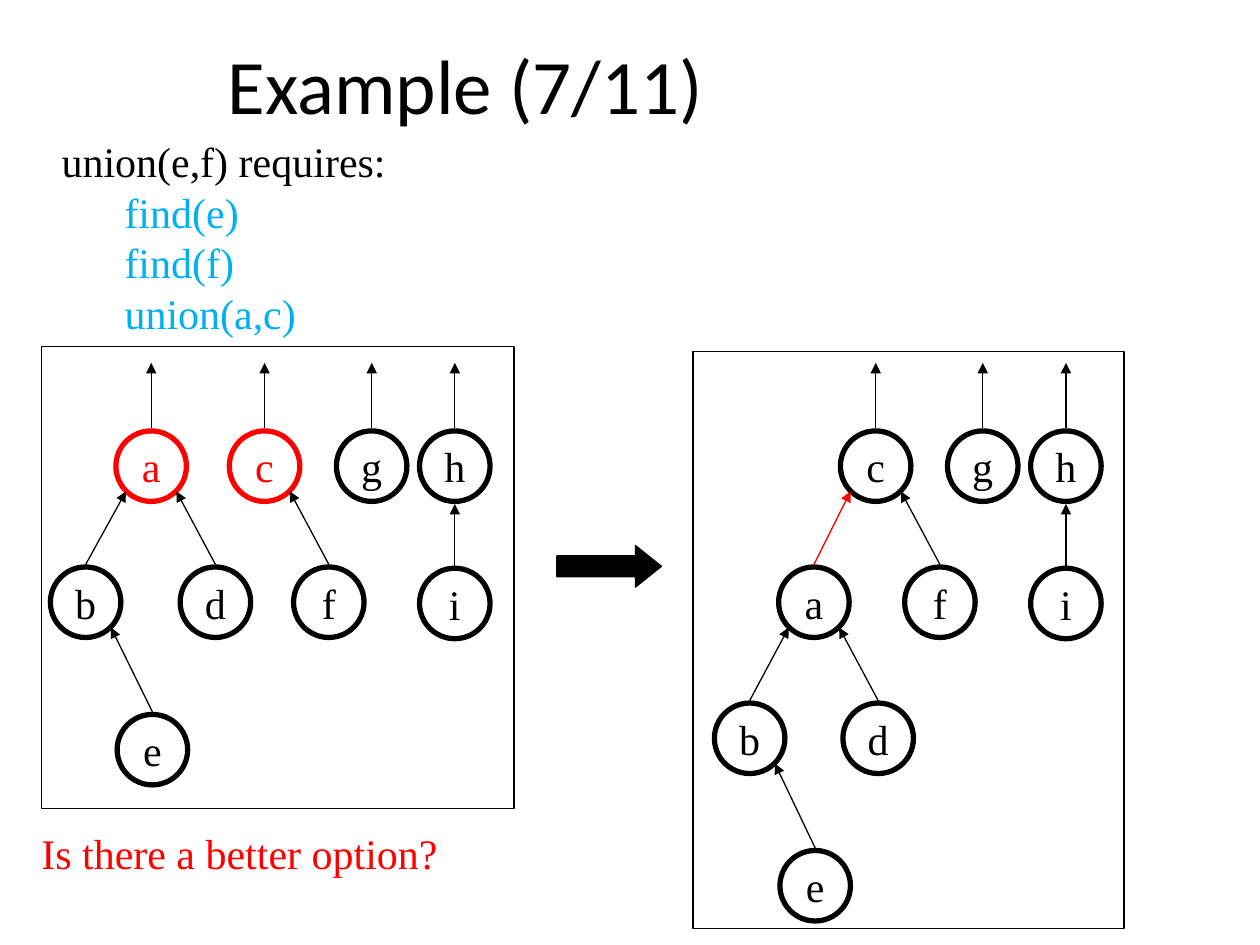
from dataclasses import dataclass

from lxml import etree
from pptx import Presentation
from pptx import util as u
from pptx.dml import color as col
from pptx.enum import shapes as sh, text as tx
from pptx.oxml import ns

BLACK, RED, BLUE, WHITE = "000000", "FF0000", "00B0F0", "FFFFFF"
SERIF = "Times New Roman"
SIZE = 0.56
GAP = 0.02
SIDE = 0.2


@dataclass
class Node:
    name: str
    mid: float
    top: float
    up: str = ""
    ink: str = BLACK
    edge: str = BLACK


LEFT = [
    Node("a", 1.2, 3.42, ink=RED),
    Node("c", 2.1, 3.42, ink=RED),
    Node("g", 2.95, 3.42),
    Node("h", 3.61, 3.42),
    Node("b", 0.68, 4.5, "a"),
    Node("d", 1.71, 4.5, "a"),
    Node("f", 2.61, 4.5, "c"),
    Node("i", 3.61, 4.51, "h"),
    Node("e", 1.21, 5.67, "b"),
]
RIGHT = [
    Node("c", 6.95, 3.42),
    Node("g", 7.8, 3.42),
    Node("h", 8.46, 3.42),
    Node("a", 6.46, 4.5, "c", edge=RED),
    Node("f", 7.46, 4.5, "c"),
    Node("i", 8.46, 4.51, "h"),
    Node("b", 5.95, 5.58, "a"),
    Node("d", 6.97, 5.58, "a"),
    Node("e", 6.47, 6.75, "b"),
]


def rgb(ink: str) -> col.RGBColor:
    return col.RGBColor.from_string(ink)


def write(para, words: str, *, size=24, font=SERIF, ink=BLACK, align=None, level=0) -> None:
    para.level = level
    para.alignment = align
    run = para.add_run()
    run.text = words
    run.font.size = u.Pt(size)
    run.font.name = font
    run.font.color.rgb = rgb(ink)


def shape(slide, kind, box: tuple, *, fill=None, ink=BLACK, width=0.75):
    item = slide.shapes.add_shape(kind, *map(u.Inches, box))
    item.shadow.inherit = False
    if fill:
        item.fill.solid()
        item.fill.fore_color.rgb = rgb(fill)
    else:
        item.fill.background()
    item.line.color.rgb = rgb(ink)
    item.line.width = u.Pt(width)
    return item


def arrow(slide, start: tuple, end: tuple, ink: str) -> None:
    item = slide.shapes.add_connector(
        sh.MSO_CONNECTOR.STRAIGHT, *map(u.Inches, start + end))
    item.line.color.rgb = rgb(ink)
    item.line.width = u.Pt(0.75)
    line = item.line._get_or_add_ln()
    etree.SubElement(line, ns.qn("a:tailEnd"), type="triangle")
    etree.SubElement(item._element.spPr, ns.qn("a:effectLst"))


def circle(slide, node: Node) -> None:
    item = shape(slide, sh.MSO_SHAPE.OVAL,
                 (node.mid - SIZE / 2, node.top, SIZE, SIZE),
                 ink=node.ink, width=3)
    frame = item.text_frame
    frame.word_wrap = False
    frame.vertical_anchor = tx.MSO_ANCHOR.MIDDLE
    write(frame.paragraphs[0], node.name, ink=node.ink, align=tx.PP_ALIGN.CENTER)


def target(node: Node, nodes: dict) -> tuple:
    if not node.up:
        return node.mid, node.top - 0.54
    head = nodes[node.up]
    if node.mid == head.mid:
        return head.mid, head.top + SIZE + GAP
    shift = SIDE if node.mid > head.mid else -SIDE
    return head.mid + shift, head.top + SIZE / 2 + SIDE


def forest(slide, box: tuple, nodes: list[Node]) -> None:
    shape(slide, sh.MSO_SHAPE.RECTANGLE, box, fill=WHITE)
    names = {node.name: node for node in nodes}
    for node in nodes:
        circle(slide, node)
        arrow(slide, (node.mid, node.top - GAP), target(node, names), node.edge)


def label(slide, box: tuple, wrap: bool):
    frame = slide.shapes.add_textbox(*map(u.Inches, box)).text_frame
    frame.word_wrap = wrap
    frame.auto_size = tx.MSO_AUTO_SIZE.SHAPE_TO_FIT_TEXT
    return frame


def main() -> None:
    deck = Presentation()
    deck.slide_width, deck.slide_height = u.Inches(10), u.Inches(7.5)
    slide = deck.slides.add_slide(deck.slide_layouts[5])

    title = slide.shapes.title
    title.left, title.top, title.width, title.height = map(
        u.Inches, (0.23, 0.25, 6.93, 0.83))
    title.text_frame.vertical_anchor = tx.MSO_ANCHOR.MIDDLE
    write(title.text_frame.paragraphs[0], "Example (7/11)",
          size=44, font="Calibri", align=tx.PP_ALIGN.CENTER)

    steps = label(slide, (0.39, 1.03, 5.33, 1.72), True)
    write(steps.paragraphs[0], "union(e,f) requires:")
    for step in ("find(e)", "find(f)", "union(a,c)"):
        write(steps.add_paragraph(), step, ink=BLUE, level=1)

    forest(slide, (0.33, 2.75, 3.75, 3.67), LEFT)
    block = shape(slide, sh.MSO_SHAPE.RIGHT_ARROW, (4.42, 4.33, 0.83, 0.33), fill=BLACK)
    block.adjustments[1] = 0.625
    forest(slide, (5.5, 2.79, 3.42, 4.58), RIGHT)

    ask = label(slide, (0.23, 6.52, 3.38, 0.51), False)
    write(ask.paragraphs[0], "Is there a better option?", ink=RED)

    deck.save("out.pptx")


if __name__ == "__main__":
    main()
